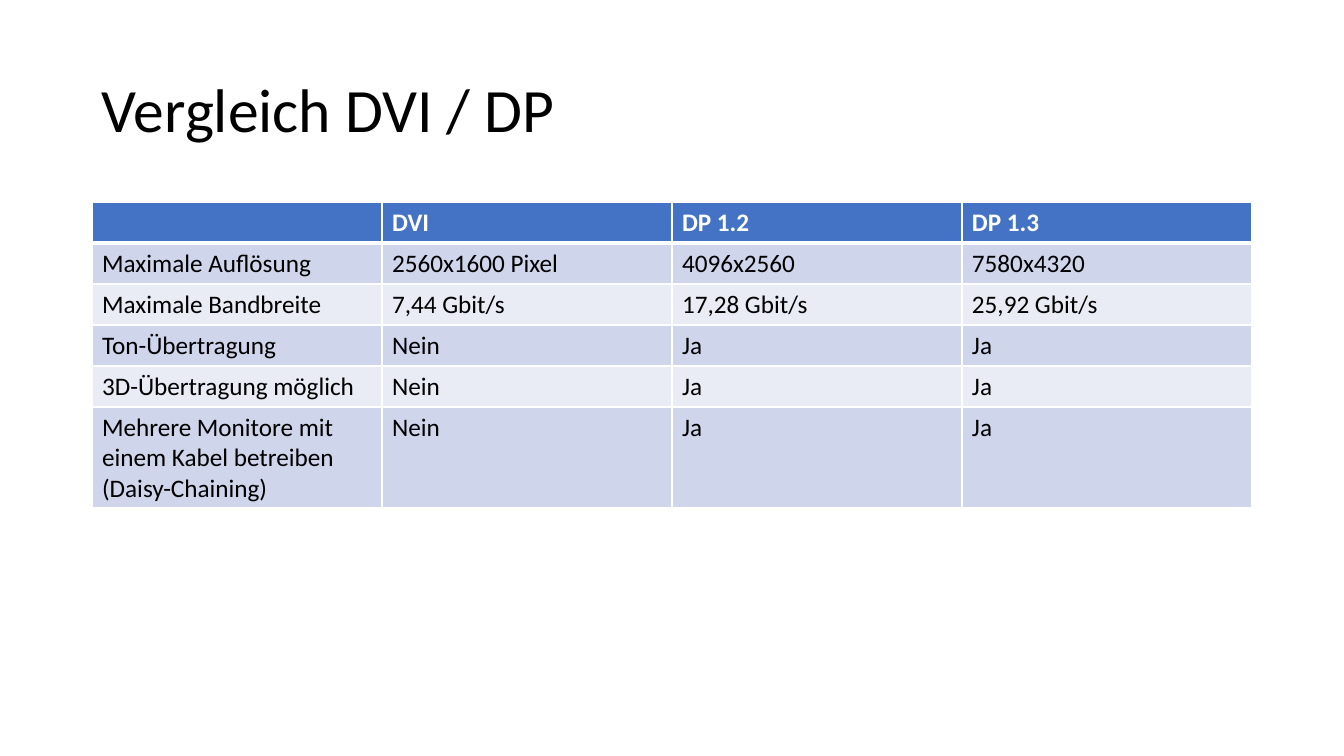
from lxml.etree import SubElement
from pptx import Presentation
from pptx.dml.color import RGBColor as Color
from pptx.enum.text import MSO_ANCHOR as Anchor
from pptx.oxml.ns import qn
from pptx.util import Emu, Pt

TITLE = "Vergleich DVI / DP"
ROWS = [
    ("", "DVI", "DP 1.2", "DP 1.3"),
    ("Maximale Auflösung", "2560x1600 Pixel", "4096x2560", "7580x4320"),
    ("Maximale Bandbreite", "7,44 Gbit/s", "17,28 Gbit/s", "25,92 Gbit/s"),
    ("Ton-Übertragung", "Nein", "Ja", "Ja"),
    ("3D-Übertragung möglich", "Nein", "Ja", "Ja"),
    ("Mehrere Monitore mit einem Kabel betreiben (Daisy-Chaining)",
     "Nein", "Ja", "Ja"),
]
WHITE, BLACK = "FFFFFF", "000000"
HEAD, BANDS = "4472C4", ("E9EBF5", "CFD5EA")
FONT = "Calibri"
WIDE, HIGH = 1344, 756
LEFT, SPAN = 92, 1160
TOP, ROW = 202, 41
SCALE = 12192000 / WIDE


def px(n):
    """Turn pixels into EMU."""
    return Emu(round(n * SCALE))


def tint(code):
    """Turn a hex string into a colour."""
    return Color.from_string(code)


def write(para, text, size, code, bold=False):
    """Put styled text into a paragraph."""
    para.text = text
    font = para.font
    font.name, font.size, font.bold = FONT, Pt(size), bold
    font.color.rgb = tint(code)


def edge(cell, widths):
    """Draw white cell borders, widths in points by side."""
    props = cell._tc.get_or_add_tcPr()
    for spot, (side, width) in enumerate(widths.items()):
        line = SubElement(props, qn(f"a:ln{side}"), w=str(Pt(width)))
        fill = SubElement(line, qn("a:solidFill"))
        SubElement(fill, qn("a:srgbClr"), val=WHITE)
        props.insert(spot, line)


def add_title(slide):
    """Add the slide title."""
    box = slide.shapes.add_textbox(px(LEFT), px(40), px(SPAN), px(146))
    frame = box.text_frame
    frame.word_wrap = True
    frame.vertical_anchor = Anchor.MIDDLE
    para = frame.paragraphs[0]
    para.line_spacing = 0.9
    write(para, TITLE, 44, BLACK)


def add_grid(slide):
    """Add the comparison table."""
    count = len(ROWS[0])
    grid = slide.shapes.add_table(len(ROWS), count, px(LEFT), px(TOP),
                                  px(SPAN), px(ROW * len(ROWS))).table
    for col in grid.columns:
        col.width = px(SPAN / count)
    for r, row in enumerate(ROWS):
        grid.rows[r].height = px(ROW)
        top = r == 0
        for c, text in enumerate(row):
            cell = grid.cell(r, c)
            cell.fill.solid()
            cell.fill.fore_color.rgb = tint(HEAD if top else BANDS[r % 2])
            write(cell.text_frame.paragraphs[0], text, 18,
                  WHITE if top else BLACK, top)
            edge(cell, {"L": 1, "R": 1, "T": 3 if r == 1 else 1,
                        "B": 3 if top else 1})


deck = Presentation()
deck.slide_width, deck.slide_height = px(WIDE), px(HIGH)
page = deck.slides.add_slide(deck.slide_layouts[6])
add_title(page)
add_grid(page)
deck.save("out.pptx")
